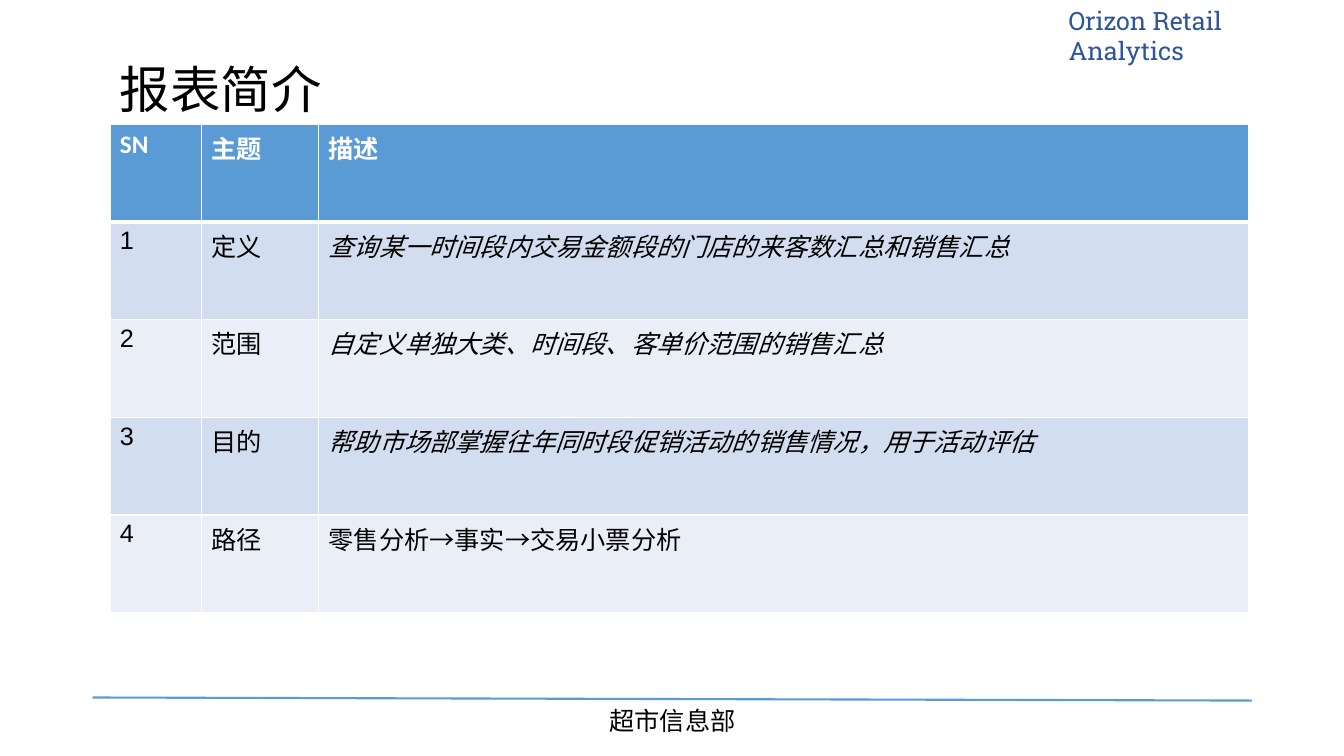
from dataclasses import dataclass

from lxml import etree
from pptx import Presentation
from pptx.dml.color import RGBColor
from pptx.enum.shapes import MSO_CONNECTOR
from pptx.enum.text import MSO_ANCHOR, MSO_AUTO_SIZE, PP_ALIGN
from pptx.oxml.ns import qn
from pptx.util import Inches, Pt

STRAIGHT = MSO_CONNECTOR.STRAIGHT
BOTTOM = MSO_ANCHOR.BOTTOM
NO_AUTOFIT = MSO_AUTO_SIZE.NONE
LEFT, CENTER = PP_ALIGN.LEFT, PP_ALIGN.CENTER

TITLE = "报表简介"
PRODUCT = "Orizon Retail Analytics"
DEPARTMENT = "超市信息部"
HEADER = ("SN", "主题", "描述")
TOPICS = [
    ("定义", "查询某一时间段内交易金额段的门店的来客数汇总和销售汇总"),
    ("范围", "自定义单独大类、时间段、客单价范围的销售汇总"),
    ("目的", "帮助市场部掌握往年同时段促销活动的销售情况，用于活动评估"),
    ("路径", "零售分析→事实→交易小票分析"),
]
PLAIN_TOPIC = "路径"
COLUMN_WIDTHS = (0.91, 1.16, 9.22)
ROW_HEIGHT = 0.97


@dataclass(frozen=True)
class Theme:
    accent: str = "5B9BD5"
    product: str = "2F5597"
    bands: tuple = ("D2DEEF", "EAEFF7")
    text: str = "000000"
    light: str = "FFFFFF"
    title_size: int = 36
    text_size: int = 18
    text_font: str = "Arial"
    header_font: str = "Calibri"
    product_font: str = "Roboto Slab"
    department_font: str = "Noto Sans CJK SC"


THEME = Theme()


def style_font(font, name, color, size=THEME.text_size, bold=False, italic=False):
    font.name = name
    font.size = Pt(size)
    font.color.rgb = RGBColor.from_string(color)
    font.bold = bold
    font.italic = italic


def add_label(slide, text, box, font_name, color, alignment=LEFT):
    shape = slide.shapes.add_textbox(*map(Inches, box))
    frame = shape.text_frame
    frame.word_wrap = True
    frame.text = text
    paragraph = frame.paragraphs[0]
    paragraph.alignment = alignment
    style_font(paragraph.font, font_name, color)
    return shape


def set_borders(cell, top=1, bottom=1):
    """Draw white cell edges, with widths in points."""
    properties = cell._tc.get_or_add_tcPr()
    edges = {"a:lnL": 1, "a:lnR": 1, "a:lnT": top, "a:lnB": bottom}
    for position, (tag, width) in enumerate(edges.items()):
        line = etree.Element(qn(tag), w=str(Pt(width)))
        fill = etree.SubElement(line, qn("a:solidFill"))
        etree.SubElement(fill, qn("a:srgbClr"), val=THEME.light)
        properties.insert(position, line)


def add_title(slide):
    title = slide.shapes.title
    title.left, title.top, title.width, title.height = map(Inches, (1.09, 0.54, 5.97, 0.69))
    frame = title.text_frame
    frame.text = TITLE
    frame.auto_size = NO_AUTOFIT
    frame.vertical_anchor = BOTTOM
    paragraph = frame.paragraphs[0]
    paragraph.alignment = LEFT
    paragraph.line_spacing = 0.9
    style_font(paragraph.font, THEME.text_font, THEME.text, THEME.title_size)


def add_topic_table(slide):
    rows = [HEADER] + [(str(number), *topic) for number, topic in enumerate(TOPICS, 1)]
    size = (sum(COLUMN_WIDTHS), ROW_HEIGHT * len(rows))
    table = slide.shapes.add_table(
        len(rows), len(HEADER), *map(Inches, (1.09, 1.23, *size))).table
    for column, width in zip(table.columns, COLUMN_WIDTHS):
        column.width = Inches(width)
    for row_index, row in enumerate(rows):
        table.rows[row_index].height = Inches(ROW_HEIGHT)
        is_header = row_index == 0
        fill = THEME.accent if is_header else THEME.bands[(row_index - 1) % 2]
        for column_index, text in enumerate(row):
            cell = table.cell(row_index, column_index)
            cell.text = text
            cell.fill.solid()
            cell.fill.fore_color.rgb = RGBColor.from_string(fill)
            set_borders(cell, top=3 if row_index == 1 else 1, bottom=3 if is_header else 1)
            font = cell.text_frame.paragraphs[0].font
            if is_header:
                style_font(font, THEME.header_font, THEME.light, bold=True)
            else:
                italic = column_index == 2 and row[1] != PLAIN_TOPIC
                style_font(font, THEME.text_font, THEME.text, italic=italic)


def add_footer(slide):
    rule = slide.shapes.add_connector(STRAIGHT, *map(Inches, (0.92, 6.92, 12.42, 6.95)))
    rule.line.color.rgb = RGBColor.from_string(THEME.accent)
    rule.line.width = Pt(1.5)
    etree.SubElement(rule._element.spPr, qn("a:effectLst"))
    add_label(slide, DEPARTMENT, (5.6, 6.95, 2.14, 0.4),
              THEME.department_font, THEME.text, CENTER)


def main():
    presentation = Presentation()
    presentation.slide_width = Inches(13.33)
    presentation.slide_height = Inches(7.5)
    slide = presentation.slides.add_slide(presentation.slide_layouts[5])
    product = add_label(slide, PRODUCT, (10.5, 0, 2.83, 0.4),
                        THEME.product_font, THEME.product)
    product.text_frame.margin_right = Inches(0.4)
    add_footer(slide)
    add_title(slide)
    add_topic_table(slide)
    presentation.save("out.pptx")


if __name__ == "__main__":
    main()
